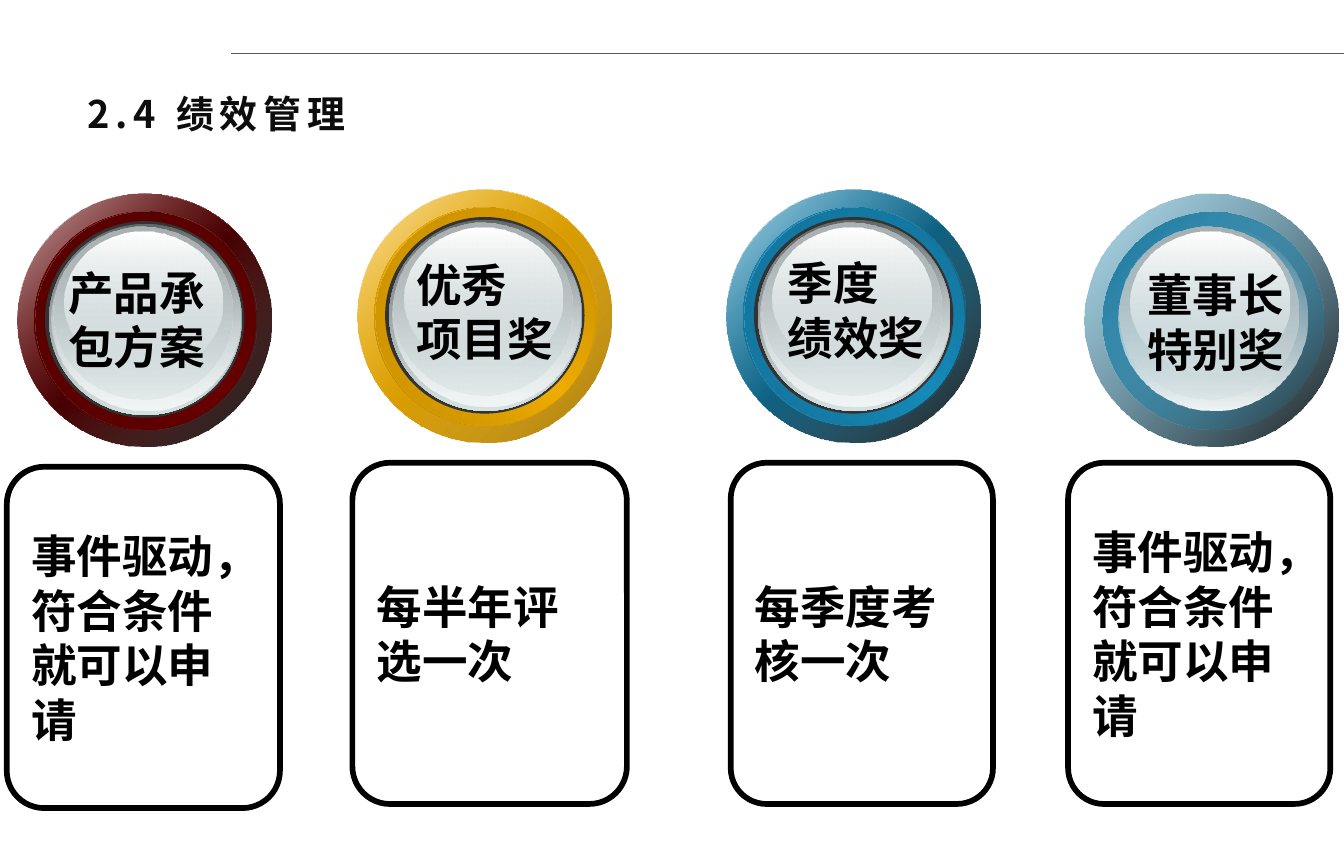
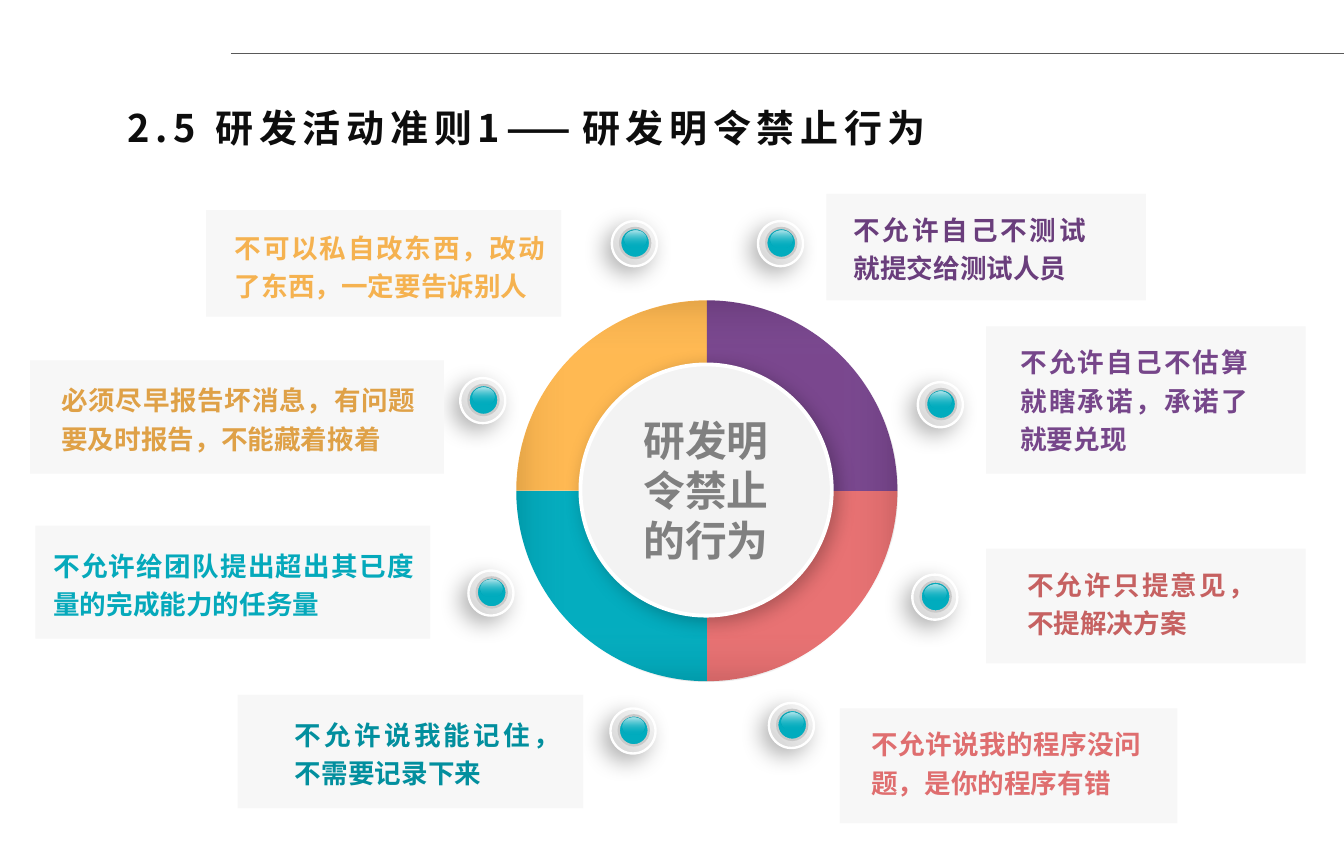
"""Build two slides on performance awards and forbidden R&D behaviour."""
from lxml.etree import SubElement
from pptx import Presentation
from pptx.dml.color import RGBColor
from pptx.enum.shapes import MSO_CONNECTOR, MSO_SHAPE
from pptx.enum.text import MSO_ANCHOR, MSO_AUTO_SIZE, PP_ALIGN
from pptx.oxml import parse_xml
from pptx.oxml.ns import nsdecls, qn
from pptx.util import Pt

PX = 9144
SLIDE_W, SLIDE_H = 984, 630
CJK, LATIN = "Noto Sans CJK SC", "Arial"

COLORS = {
    "ink": "000000", "title": "0D0D0D", "rule": "595959", "white": "FFFFFF",
    "socket": "333333", "steel": "636869", "mist": "D6E1E2", "ice": "F1F5F5",
    "fog": "AAB2B3", "panel": "F7F7F7", "hub": "F3F3F3", "hub_text": "808080",
    "silver": "D5D5D5", "edge": "C9C9C9", "teal": "01ACBE", "amber": "FFB850",
    "purple": "78458D", "coral": "E87071", "shade": "404040",
}

RED = {"base": "680000", "groove": "500000", "inner": "550000", "end": ("000000", 90)}
GOLD = {"base": "F0AD00", "groove": "B88400", "inner": "C58E00", "end": ("AC7C00", 100)}
BLUE = {"base": "168BBA", "groove": "116A8E", "inner": "127299", "end": ("000000", 90)}

AWARDS = [
    {"name": "产品承\n包方案", "rule": "事件驱动，符合条件就可以申请", "tone": RED, "full": True,
     "medal": (13, 142), "label": (40, 189), "card": (5, 342, 200, 250)},
    {"name": "优秀\n项目奖", "rule": "每半年评选一次", "tone": GOLD, "full": True,
     "medal": (262, 139), "label": (295, 183), "card": (258, 339, 201, 250)},
    {"name": "季度\n绩效奖", "rule": "每季度考核一次", "tone": BLUE, "full": True,
     "medal": (532, 139), "label": (567, 182), "card": (535, 339, 192, 250)},
    {"name": "董事长\n特别奖", "rule": "事件驱动，符合条件就可以申请", "tone": BLUE, "full": False,
     "medal": (794, 142), "label": (830, 191), "card": (782, 339, 192, 250)},
]

RING = (378, 220, 279, 279)
HUB = (425, 267, 184, 184)
HUB_TEXT = "研发明令禁止的行为"
QUADRANTS = [("coral", 0), ("teal", 90), ("amber", 180), ("purple", 270)]
BUTTONS = [(337, 277), (343, 418), (447, 519), (563, 515),
           (668, 421), (672, 280), (555, 162), (448, 162)]

NOTES = [
    ("必须尽早报告坏消息，有问题要及时报告，不能藏着掖着", "DFA147", (22, 264, 303, 83), (35, 272, 279)),
    ("不允许给团队提出超出其已度量的完成能力的任务量", "05A9BB", (26, 385, 289, 83), (29, 393, 284)),
    ("不允许说我能记住，不需要记录下来", "028F9E", (174, 509, 253, 83), (206, 517, 214)),
    ("不允许说我的程序没问题，是你的程序有错", "DF6E6F", (615, 519, 247, 84), (628, 524, 218)),
    ("不允许只提意见，不提解决方案", "C66161", (722, 402, 234, 84), (742, 407, 187)),
    ("不允许自己不估算就瞎承诺，承诺了就要兑现", "76468A", (722, 239, 234, 108), (737, 244, 187)),
    ("不允许自己不测试就提交给测试人员", "6A3E7C", (605, 142, 234, 78), (615, 147, 190)),
    ("不可以私自改东西，改动了东西，一定要告诉别人", "F5B250", (151, 154, 260, 78), (162, 160, 247)),
]


def rgb(color):
    return RGBColor.from_string(COLORS.get(color, color))


def emu(box):
    return [v * PX for v in box]


def write(tf, text, size=24, color="ink", font=LATIN, align=PP_ALIGN.LEFT, spacing=None,
          tracking=None, anchor=MSO_ANCHOR.TOP, wrap=True, margins=(10, 5, 10, 5)):
    tf.auto_size = MSO_AUTO_SIZE.NONE
    tf.word_wrap = wrap
    tf.vertical_anchor = anchor
    tf.margin_left, tf.margin_top, tf.margin_right, tf.margin_bottom = emu(margins)
    for i, line in enumerate(text.split("\n")):
        p = tf.add_paragraph() if i else tf.paragraphs[0]
        p.alignment = align
        if spacing:
            p.line_spacing = spacing
        r = p.add_run()
        r.text = line
        r.font.size, r.font.bold, r.font.name = Pt(size), True, font
        r.font.color.rgb = rgb(color)
        rPr = r._r.get_or_add_rPr()
        SubElement(rPr, qn("a:ea"), typeface=CJK)
        if tracking:
            rPr.set("spc", str(tracking * 100))


def set_gradient(sp, stops, angle=None):
    gs = "".join(
        f'<a:gs pos="{pos * 1000}"><a:srgbClr val="{COLORS.get(color, color)}">'
        f'<a:alpha val="{alpha * 1000}"/></a:srgbClr></a:gs>' for pos, color, alpha in stops)
    if angle is None:
        way = ('<a:path path="shape"><a:fillToRect l="50000" t="50000" '
               'r="50000" b="50000"/></a:path>')
    else:
        way = f'<a:lin ang="{angle * 60000}" scaled="0"/>'
    sp.fill.background()
    spPr = sp.element.spPr
    spPr.replace(spPr.find(qn("a:noFill")), parse_xml(
        f'<a:gradFill {nsdecls("a")} rotWithShape="1"><a:gsLst>{gs}</a:gsLst>{way}</a:gradFill>'))


def set_shadow(sp, alpha, blur, dist, angle):
    effects = sp.element.spPr.find(qn("a:effectLst"))
    effects.append(parse_xml(
        f'<a:outerShdw {nsdecls("a")} blurRad="{Pt(blur)}" dist="{Pt(dist)}" '
        f'dir="{angle * 60000}" algn="ctr" rotWithShape="0"><a:srgbClr val="{COLORS["ink"]}">'
        f'<a:alpha val="{alpha * 1000}"/></a:srgbClr></a:outerShdw>'))


def add_shape(s, kind, box, fill=None, grad=None, angle=None, line=None, width=1, shadow=None):
    sp = s.shapes.add_shape(kind, *emu(box))
    sp.shadow.inherit = False
    if grad:
        set_gradient(sp, grad, angle)
    elif fill:
        sp.fill.solid()
        sp.fill.fore_color.rgb = rgb(fill)
    else:
        sp.fill.background()
    if line:
        sp.line.color.rgb = rgb(line)
        sp.line.width = Pt(width)
    else:
        sp.line.fill.background()
    if shadow:
        set_shadow(sp, *shadow)
    return sp


def add_rule(s, layout):
    line = s.shapes.add_connector(MSO_CONNECTOR.STRAIGHT, *emu((169, 39, SLIDE_W, 39)))
    line.line.color.rgb = rgb("rule")
    line.line.width = Pt(0.75)
    SubElement(line.element.spPr, qn("a:effectLst"))
    layout.shapes.element.append(line.element)


def add_titled_slide(prs, layout, text, box):
    s = prs.slides.add_slide(layout)
    title = s.shapes.title
    title.left, title.top, title.width, title.height = emu(box)
    write(title.text_frame, text, size=20, color="title", font=CJK, tracking=3,
          anchor=MSO_ANCHOR.MIDDLE)
    return s


def medal_layers(tone, full):
    base, groove = tone["base"], tone["groove"]
    glow = [(0, "white", 100), (50, base, 100), (100, "white", 100)]
    band = [(0, groove, 100), (50, base, 100), (100, groove, 100)]
    layers = [
        (True, (0, 0, 186, 185), {"grad": glow, "angle": 45}),
        (False, (0, 0, 186, 185), {"grad": [(0, base, 32), (100, *tone["end"])], "angle": 45}),
        (True, (12, 13, 162, 160), {"grad": band, "angle": 315}),
        (False, (13, 13, 162, 160),
         {"grad": [(0, tone["inner"], 100), (100, base, 0)], "angle": 45}),
        (True, (20, 20, 146, 144), {"fill": "socket"}),
        (True, (23, 22, 141, 140),
         {"grad": [(0, "steel", 100), (100, "mist", 100)], "angle": 90}),
        (False, (25, 23, 138, 136), {"grad": [(0, "mist", 0), (100, "ice", 100)], "angle": 90}),
        (False, (26, 24, 131, 127), {"grad": [(0, "fog", 100), (100, "mist", 48)], "angle": 90}),
        (False, (34, 28, 116, 103), {"grad": [(0, "white", 100), (100, "mist", 38)], "angle": 90}),
    ]
    return [(box, look) for full_only, box, look in layers if full or not full_only]


def add_award(s, award):
    card = add_shape(s, MSO_SHAPE.ROUNDED_RECTANGLE, award["card"], line="ink", width=3)
    card.adjustments[0] = 0.137
    write(card.text_frame, award["rule"], anchor=MSO_ANCHOR.MIDDLE)
    x, y = award["medal"]
    for (dx, dy, w, h), look in medal_layers(award["tone"], award["full"]):
        add_shape(s, MSO_SHAPE.OVAL, (x + dx, y + dy, w, h), **look)
    label = s.shapes.add_textbox(*emu((*award["label"], 122, 91)))
    write(label.text_frame, award["name"], wrap=False)


def add_wheel(s):
    for color, start in QUADRANTS:
        pie = add_shape(s, MSO_SHAPE.PIE, RING, fill=color)
        pie.adjustments[0] = start * 0.6
        pie.adjustments[1] = (start + 90) % 360 * 0.6
    add_shape(s, MSO_SHAPE.OVAL, RING, grad=[
        (0, "white", 0), (73, "white", 1), (89, "shade", 4), (100, "ink", 10)])
    hub = add_shape(s, MSO_SHAPE.OVAL, HUB, fill="hub", line="white", width=2,
                    shadow=(25, 10, 3, 45))
    write(hub.text_frame, HUB_TEXT, size=22, color="hub_text", align=PP_ALIGN.CENTER,
          anchor=MSO_ANCHOR.MIDDLE, margins=(18, 0, 18, 0))


def add_button(s, x, y):
    add_shape(s, MSO_SHAPE.OVAL, (x, y, 33, 33), angle=135, line="white", width=1.25,
              grad=[(0, "panel", 100), (100, "silver", 100)], shadow=(30, 12, 5, 135))
    add_shape(s, MSO_SHAPE.OVAL, (x + 6, y + 5, 22, 22), fill="teal", line="edge", width=1.25)
    add_shape(s, MSO_SHAPE.OVAL, (x + 9, y + 7, 16, 13), angle=90,
              grad=[(0, "white", 70), (95, "teal", 0)])


def add_note(s, text, color, panel, area):
    left, top, width, _ = panel
    x, y, w = area
    sp = add_shape(s, MSO_SHAPE.RECTANGLE, panel, fill="panel")
    write(sp.text_frame, text, size=14, color=color, font=CJK, align=PP_ALIGN.JUSTIFY,
          spacing=1.2, margins=(x - left + 10, y - top + 5, left + width - x - w + 10, 0))


def main():
    prs = Presentation()
    prs.slide_width, prs.slide_height = emu((SLIDE_W, SLIDE_H))
    layout = prs.slide_layouts[5]

    s = add_titled_slide(prs, layout, "2.4 绩效管理", (54, 61, 457, 44))
    add_rule(s, layout)
    for award in AWARDS:
        add_award(s, award)

    s = add_titled_slide(prs, layout, "2.5 研发活动准则1——研发明令禁止行为", (83, 71, 639, 44))
    add_wheel(s)
    for x, y in BUTTONS:
        add_button(s, x, y)
    for note in NOTES:
        add_note(s, *note)

    prs.save("out.pptx")


if __name__ == "__main__":
    main()
